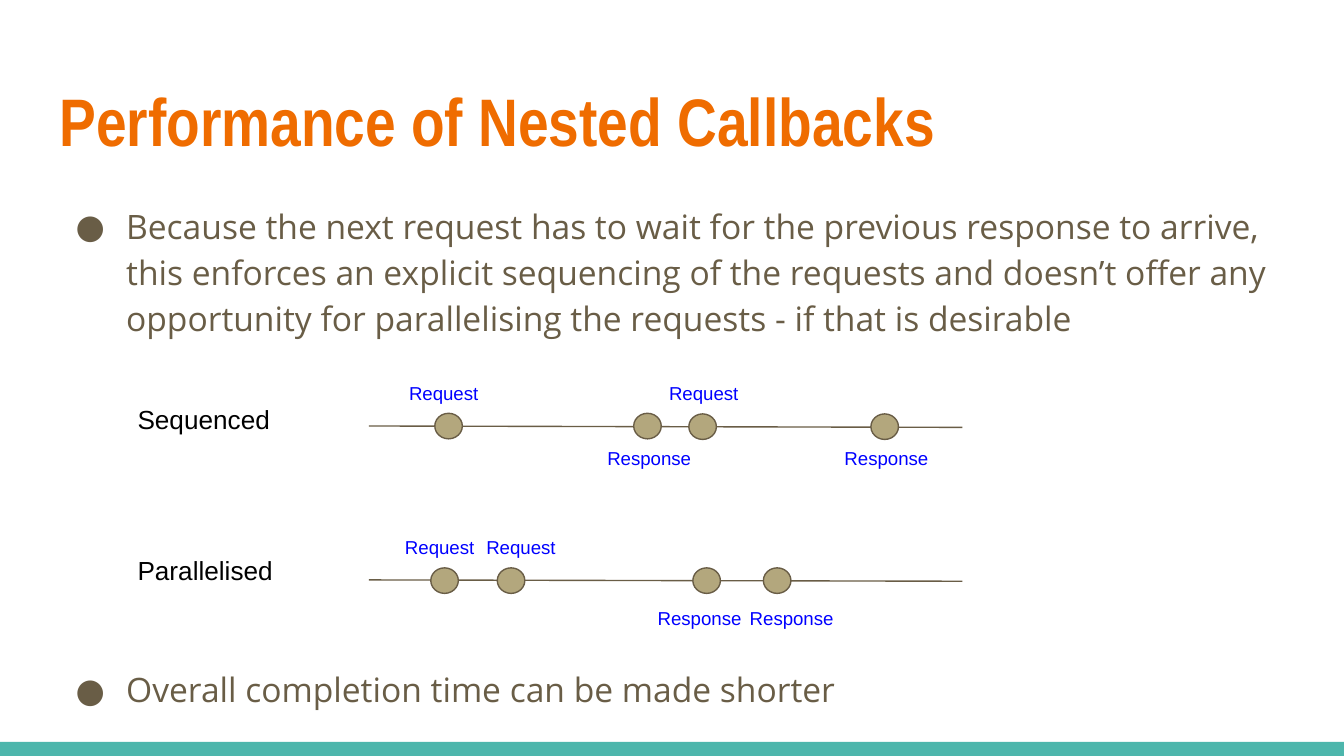
import pptx
import pptx.util
from lxml import etree
from pptx.dml.color import RGBColor
from pptx.enum.shapes import MSO_CONNECTOR, MSO_SHAPE
from pptx.oxml.ns import qn

PX = 4572  # 200 px to the inch

TEAL = RGBColor(0x4D, 0xB6, 0xAC)
ORANGE = RGBColor(0xEF, 0x6C, 0x00)
BROWN = RGBColor(0x69, 0x5D, 0x46)
TAN = RGBColor(0xB3, 0xA7, 0x7D)
BLUE = RGBColor(0x00, 0x00, 0xFF)
BLACK = RGBColor(0x00, 0x00, 0x00)

# Each event: label, dot left, dot top, label left (relative to the timeline box)
SEQUENCED = [
    ("Request", 462, 67, 404),
    ("Response", 758, 67, 699),
    ("Request", 840, 68, 791),
    ("Response", 1111, 68, 1052),
]
PARALLELISED = [
    ("Request", 456, 68, 398),
    ("Request", 555, 68, 519),
    ("Response", 846, 68, 774),
    ("Response", 951, 68, 911),
]


def px(*lengths):
    return [n * PX for n in lengths]


def add_text(s, box, text, size, font, color, bold=False, bullet=False):
    tf = s.shapes.add_textbox(*px(*box)).text_frame
    tf.word_wrap = True
    tf.margin_left = tf.margin_right = tf.margin_top = tf.margin_bottom = 20 * PX
    p = tf.paragraphs[0]
    p.text = text
    if bullet:
        add_bullet(p, font)
    f = p.runs[0].font
    f.size, f.name, f.bold = pptx.util.Pt(size), font, bold
    f.color.rgb = color


def add_bullet(p, font):
    p.line_spacing = 1.15
    pPr = p._p.get_or_add_pPr()
    pPr.set("marL", str(100 * PX))
    pPr.set("indent", str(-75 * PX))
    color = etree.SubElement(pPr, qn("a:buClr"))
    etree.SubElement(color, qn("a:srgbClr"), val=str(BROWN))
    etree.SubElement(pPr, qn("a:buFont"), typeface=font)
    etree.SubElement(pPr, qn("a:buChar"), char="●")


def add_title(s, box, text):
    add_text(s, box, text, 36, "Arial Narrow", ORANGE, bold=True)


def add_point(s, box, text):
    add_text(s, box, text, 18, "Open Sans", BROWN, bullet=True)


def add_footer_bar(s, box):
    sp = s.shapes.add_shape(MSO_SHAPE.RECTANGLE, *px(*box))
    sp.shadow.inherit = False
    sp.fill.solid()
    sp.fill.fore_color.rgb = TEAL
    sp.line.fill.background()


def add_dot(s, x, y):
    sp = s.shapes.add_shape(MSO_SHAPE.OVAL, *px(x, y, 41, 38))
    sp.shadow.inherit = False
    sp.fill.solid()
    sp.fill.fore_color.rgb = TAN
    sp.line.color.rgb = BROWN
    sp.line.width = pptx.util.Pt(0.75)


def add_timeline(s, x, y, name, name_dy, response_dy, events):
    """Draw a named line with requests labelled above and responses below."""
    add_text(s, (x, y + name_dy, 320, 58), name, 14, "Arial", BLACK)
    axis = s.shapes.add_connector(
        MSO_CONNECTOR.STRAIGHT, *px(x + 364, y + 86, x + 1247, y + 88))
    axis.line.color.rgb = BROWN
    axis.line.width = pptx.util.Pt(0.75)
    etree.SubElement(axis._element.spPr, qn("a:effectLst"))
    for label, dot_dx, dot_dy, label_dx in events:
        add_dot(s, x + dot_dx, y + dot_dy)
        dy, width = (3, 156) if label == "Request" else (response_dy, 170)
        add_text(s, (x + label_dx, y + dy, width, 52), label, 10, "Arial", BLUE)


def main():
    prs = pptx.Presentation()
    prs.slide_width, prs.slide_height = px(2000, 1125)
    s = prs.slides.add_slide(prs.slide_layouts[6])
    add_footer_bar(s, (0, 1104, 2000, 21))
    add_title(s, (69, 98, 1864, 154), "Performance of Nested Callbacks")
    add_point(s, (68, 277, 1864, 280),
              "Because the next request has to wait for the previous response "
              "to arrive, this enforces an explicit sequencing of the requests "
              "and doesn’t offer any opportunity for parallelising the requests "
              "- if that is desirable")
    add_timeline(s, 185, 548, "Sequenced", 32, 101, SEQUENCED)
    add_timeline(s, 185, 777, "Parallelised", 28, 109, PARALLELISED)
    add_point(s, (68, 967, 1864, 126), "Overall completion time can be made shorter")
    prs.save("out.pptx")


if __name__ == "__main__":
    main()
